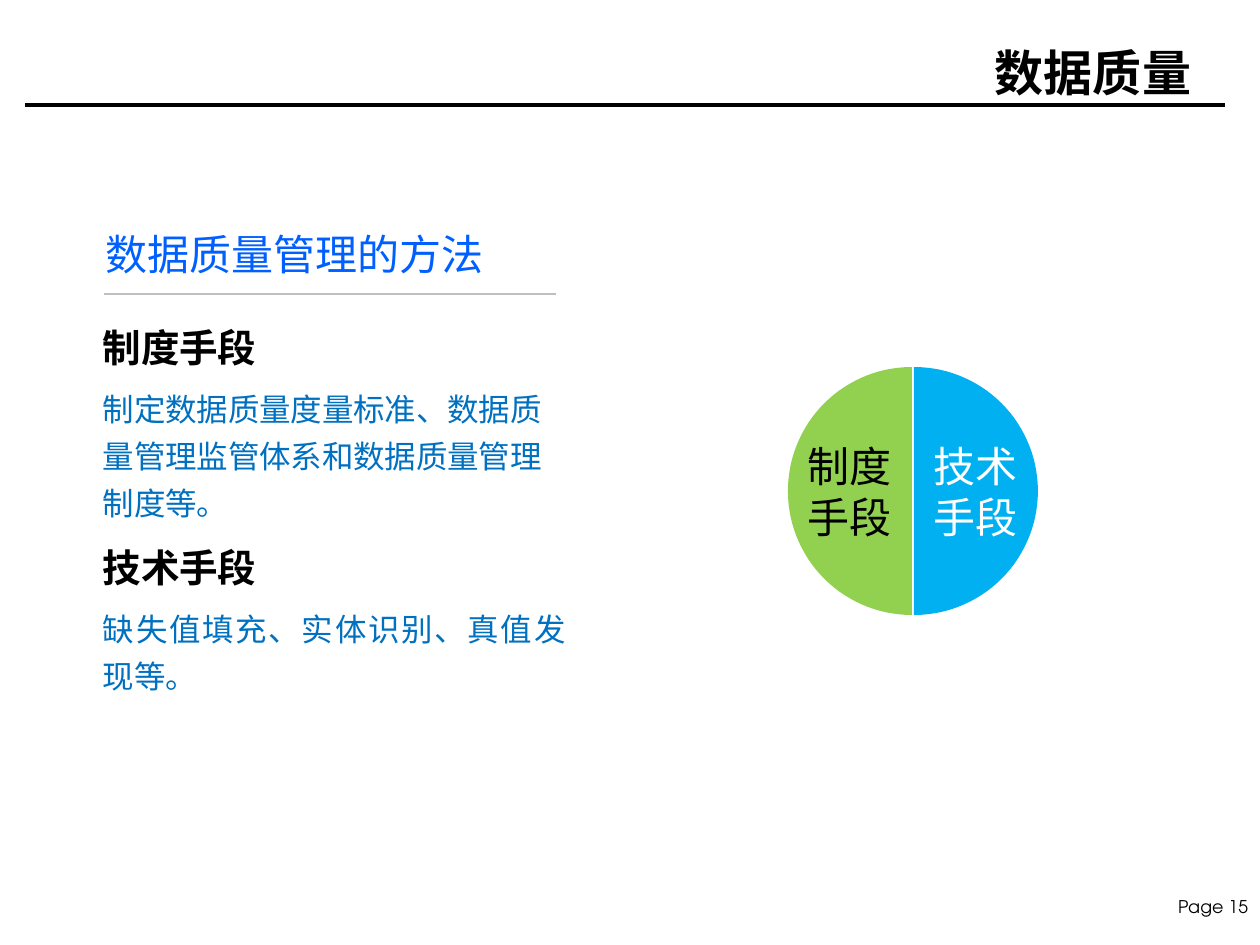
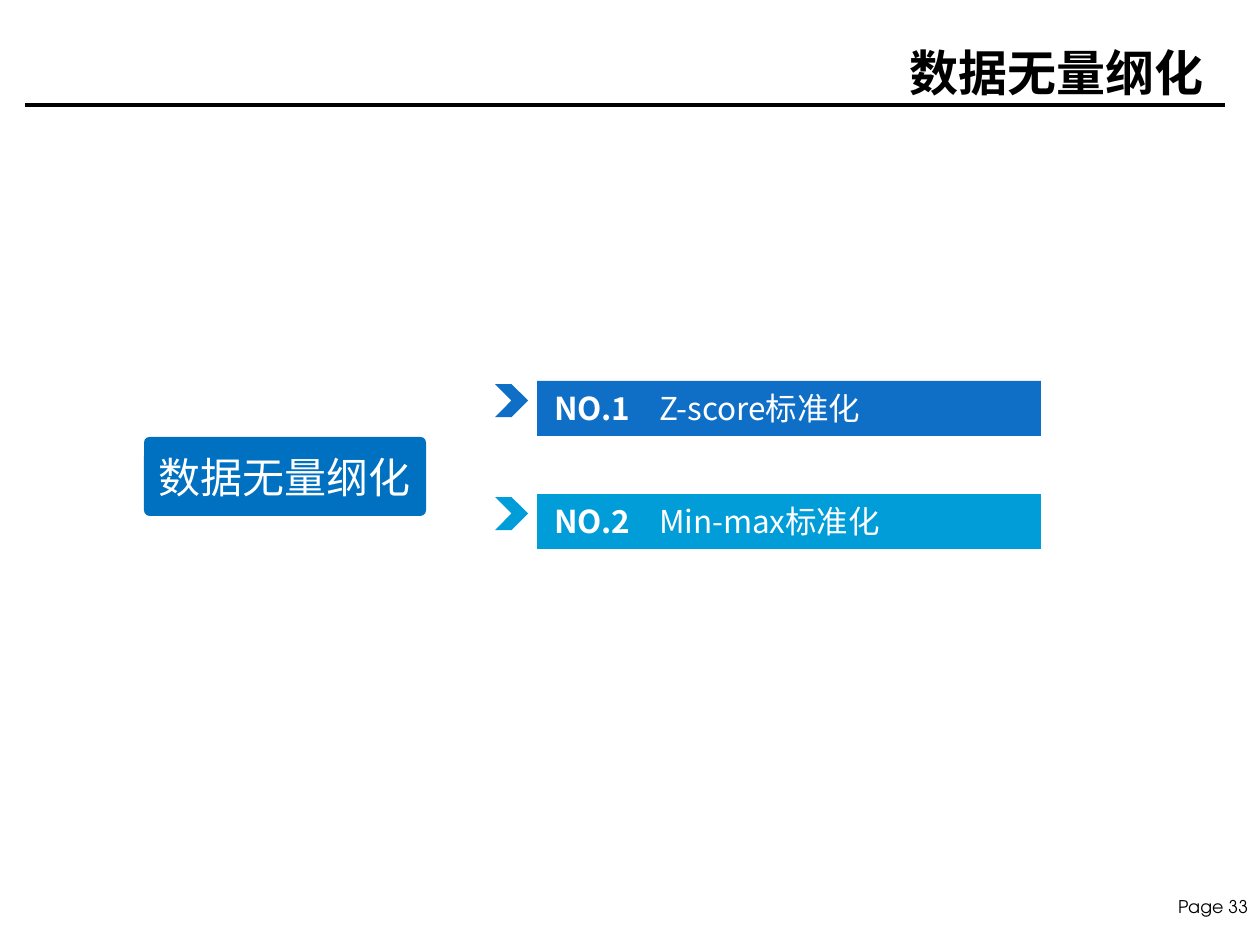
from math import cos, pi, sin

from lxml import etree
from pptx import Presentation
from pptx.dml.color import RGBColor
from pptx.enum.shapes import MSO_CONNECTOR, MSO_SHAPE
from pptx.enum.text import MSO_ANCHOR, PP_ALIGN
from pptx.oxml.ns import qn
from pptx.util import Pt

PX = 914400 // 168
SLIDE_SIZE = (1260, 945)
SANS, FOOTER_FONT = "Noto Sans CJK SC", "TeX Gyre Adventor"
LEFT, RIGHT, CENTER, JUSTIFY = PP_ALIGN.LEFT, PP_ALIGN.RIGHT, PP_ALIGN.CENTER, PP_ALIGN.JUSTIFY
TOP, MIDDLE = MSO_ANCHOR.TOP, MSO_ANCHOR.MIDDLE
STRAIGHT = MSO_CONNECTOR.STRAIGHT
RECTANGLE, ROUNDED, CHEVRON = MSO_SHAPE.RECTANGLE, MSO_SHAPE.ROUNDED_RECTANGLE, MSO_SHAPE.CHEVRON

BLACK = RGBColor(0x00, 0x00, 0x00)
WHITE = RGBColor(0xFF, 0xFF, 0xFF)
GREY = RGBColor(0xBF, 0xBF, 0xBF)
HEADING_BLUE = RGBColor(0x00, 0x60, 0xFF)
TEXT_BLUE = RGBColor(0x00, 0x70, 0xC0)
SKY = RGBColor(0x00, 0xB0, 0xF0)
GREEN = RGBColor(0x92, 0xD0, 0x50)
BAR_BLUE = RGBColor(0x0F, 0x6F, 0xC6)
BAR_CYAN = RGBColor(0x00, 0x9D, 0xD9)

# Text, alignment, line spacing, size, colour, bold
METHODS = [
    ("制度手段", LEFT, 1.5, 16.5, BLACK, True),
    ("制定数据质量度量标准、数据质量管理监管体系和数据质量管理制度等。", LEFT, 1.25, 13.5, TEXT_BLUE, False),
    ("技术手段", JUSTIFY, 1.25, 16.5, BLACK, True),
    ("缺失值填充、实体识别、真值发现等。", JUSTIFY, 1.25, 13.5, TEXT_BLUE, False),
]
# Side of the disc (-1 left, 1 right), fill, text colour, lines
HALVES = [
    (1, SKY, WHITE, ("技术", "手段")),
    (-1, GREEN, BLACK, ("制度", "手段")),
]
SCALINGS = [
    ("NO.1", "Z-score标准化", BAR_BLUE),
    ("NO.2", "Min-max标准化", BAR_CYAN),
]
DISC_X, DISC_Y, DISC_RADIUS, DISC_HALF_GAP, ARC_STEPS = 913, 491, 124, 1, 60
BAR_TOP, BAR_PITCH, BAR_TAB = 381, 113, 105


def emu(*lengths):
    return [round(length * PX) for length in lengths]


def add_span(para, text, size, color, bold=False, font=SANS):
    span = para.add_run()
    span.text = text
    span.font.size = Pt(size)
    span.font.bold = bold
    span.font.color.rgb = color
    span.font.name = font
    east_asian = etree.SubElement(span.font._element, qn("a:ea"))
    east_asian.set("typeface", font)


def set_frame(shape, anchor=TOP, wrap=True, insets=(17, 8)):
    frame = shape.text_frame
    frame.word_wrap = wrap
    frame.vertical_anchor = anchor
    frame.margin_left = frame.margin_right = insets[0] * PX
    frame.margin_top = frame.margin_bottom = insets[1] * PX
    return frame


def add_paragraph(frame, index, align=LEFT):
    para = frame.add_paragraph() if index else frame.paragraphs[0]
    para.alignment = align
    return para


def add_label(page, area, text, size, color, bold=False, align=LEFT, font=SANS, **frame_style):
    box = page.shapes.add_textbox(*emu(*area))
    frame = set_frame(box, **frame_style)
    add_span(add_paragraph(frame, 0, align), text, size, color, bold, font)


def paint(shape, fill):
    shape.shadow.inherit = False
    shape.fill.solid()
    shape.fill.fore_color.rgb = fill
    shape.line.fill.background()


def add_block(page, preset, area, fill):
    shape = page.shapes.add_shape(preset, *emu(*area))
    paint(shape, fill)
    return shape


def add_rule(page, left, right, y, color, width):
    rule = page.shapes.add_connector(STRAIGHT, *emu(left, y, right, y))
    rule.line.color.rgb = color
    rule.line.width = Pt(width)
    etree.SubElement(rule._element.spPr, qn("a:effectLst"))


def add_page(deck, title, title_left, number):
    page = deck.slides.add_slide(deck.slide_layouts[6])
    add_label(page, (1152, 889, 108, 34), f"Page {number}", 7.5, BLACK, align=RIGHT,
              font=FOOTER_FONT, wrap=False, insets=(12, 7))
    add_rule(page, 25, 1225, 105, BLACK, 2)
    add_label(page, (title_left, 35, 1134, 158), title, 21, BLACK, True, RIGHT)
    return page


def add_half_disc(page, side, fill, color, lines):
    flat_x = DISC_X + side * DISC_HALF_GAP
    angles = [pi * (step / ARC_STEPS - 0.5) for step in range(ARC_STEPS + 1)]
    arc = [emu(flat_x + side * DISC_RADIUS * cos(angle), DISC_Y + DISC_RADIUS * sin(angle))
           for angle in angles]
    outline = page.shapes.build_freeform(*arc[0])
    outline.add_line_segments(arc[1:], close=True)
    half = outline.convert_to_shape()
    paint(half, fill)
    frame = set_frame(half, MIDDLE)
    for index, line in enumerate(lines):
        add_span(add_paragraph(frame, index, CENTER), line, 18, color)


def build_quality(deck):
    page = add_page(deck, "数据质量", 74, 15)
    body = page.shapes.add_textbox(*emu(91, 294, 487, 546))
    frame = set_frame(body, insets=(12, 7))
    for index, (text, align, spacing, *style) in enumerate(METHODS):
        para = add_paragraph(frame, index, align)
        para.line_spacing = spacing
        if index:
            para.space_before = Pt(4.5)
        add_span(para, text, *style)
    add_label(page, (89, 220, 487, 67), "数据质量管理的方法", 18, HEADING_BLUE)
    add_rule(page, 104, 556, 294, GREY, 1)
    for half in HALVES:
        add_half_disc(page, *half)


def build_scaling(deck):
    page = add_page(deck, "数据无量纲化", 87, 33)
    for index, (number, name, fill) in enumerate(SCALINGS):
        top = BAR_TOP + index * BAR_PITCH
        add_block(page, CHEVRON, (495, top + 3, 33, 33), fill)
        bar = add_block(page, RECTANGLE, (537, top, 504, 55), fill)
        para = add_paragraph(set_frame(bar), 0)
        tabs = etree.SubElement(para._p.get_or_add_pPr(), qn("a:tabLst"))
        etree.SubElement(tabs, qn("a:tab"), pos=str(BAR_TAB * PX), algn="l")
        add_span(para, number + "\t", 13.5, WHITE, True)
        add_span(para, name, 13.5, WHITE)
    topic = add_block(page, ROUNDED, (144, 437, 282, 79), TEXT_BLUE)
    topic.adjustments[0] = 0.07
    frame = set_frame(topic, MIDDLE, insets=(10, 5))
    add_span(add_paragraph(frame, 0, CENTER), "数据无量纲化", 18, WHITE)


def main():
    deck = Presentation()
    deck.slide_width, deck.slide_height = emu(*SLIDE_SIZE)
    build_quality(deck)
    build_scaling(deck)
    deck.save("out.pptx")


if __name__ == "__main__":
    main()
